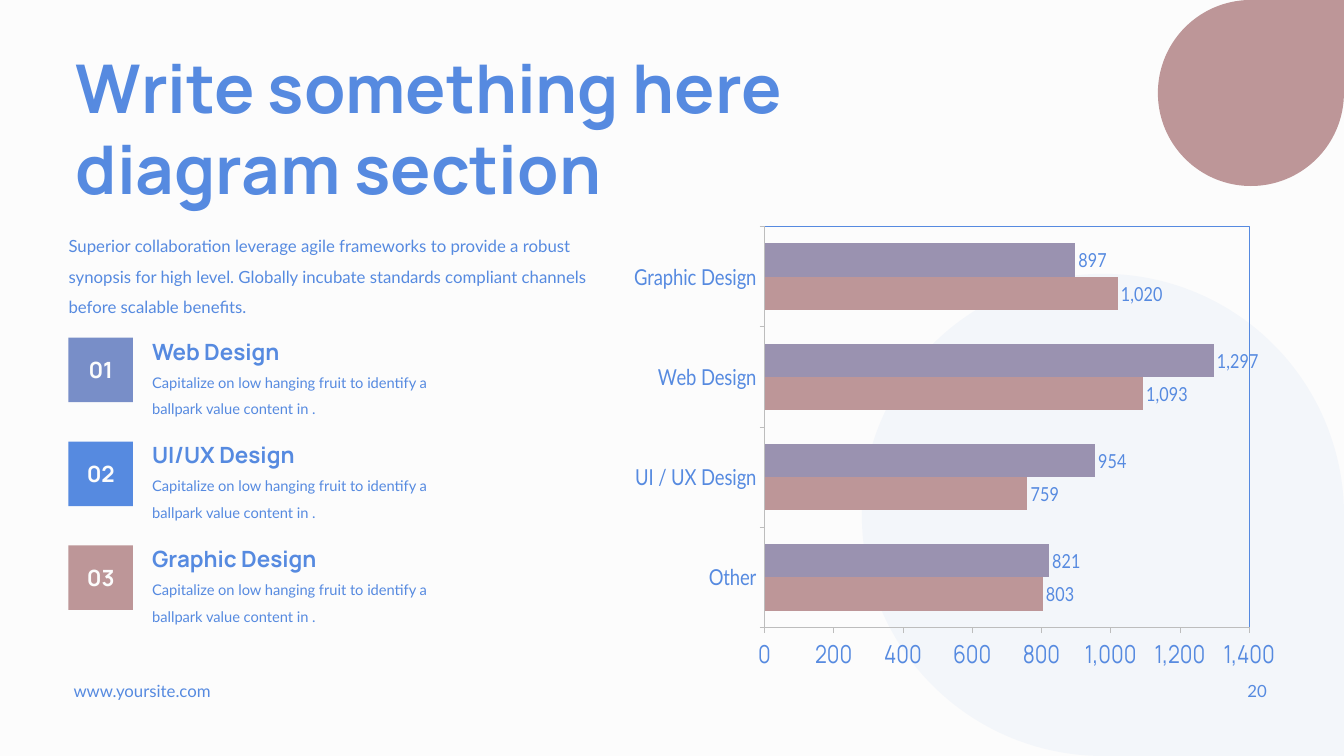
from lxml import etree
from pptx import Presentation
from pptx import util as u
from pptx.chart.data import CategoryChartData
from pptx.dml.color import RGBColor
from pptx.enum import chart as charts, shapes, text
from pptx.oxml import parse_xml
from pptx.oxml.ns import nsdecls, qn

CELL = u.Inches(1 / 12)
BLUE, ROSE, MAUVE, SLATE, PAPER = "568AE0", "BD9698", "9A92B0", "788EC8", "FCFCFC"
GREY = "BDBDBD"
BODY, HEADING = "Lato", "Manrope"
ITEM_PITCH, SQUARE, ITEM_TEXT = 12.37, 7.68, 9.96
ITEM_BODY = "Capitalize on low hanging fruit to identify a ballpark value content in ."
INTRO = ("Superior collaboration leverage agile frameworks to provide a robust synopsis "
         "for high level. Globally incubate standards compliant channels before "
         "scalable benefits.")


def color(hex_value):
    """Turn a hex string into a colour."""
    return RGBColor.from_string(hex_value)


def cells(*counts):
    """Turn grid counts into lengths."""
    return [round(count * CELL) for count in counts]


def style_font(font, name, size, hex_value=BLUE, bold=False):
    """Set typeface, size, weight and colour."""
    font.name, font.size, font.bold = name, u.Pt(size), bold
    font.color.rgb = color(hex_value)


def write(shape, words, name, size, hex_value=BLUE, bold=False, spacing=None,
          align=text.PP_ALIGN.LEFT, anchor=text.MSO_ANCHOR.TOP, inset=0):
    """Fill a shape with one formatted paragraph."""
    frame = shape.text_frame
    frame.text = words
    frame.word_wrap = True
    frame.auto_size = text.MSO_AUTO_SIZE.NONE
    frame.vertical_anchor = anchor
    frame.margin_left = frame.margin_right = u.Inches(inset)
    frame.margin_top = frame.margin_bottom = u.Inches(inset / 2)
    para = frame.paragraphs[0]
    para.alignment = align
    if spacing:
        para.line_spacing = spacing
    style_font(para.runs[0].font, name, size, hex_value, bold)


def add_text(page, box, words, name, size, **options):
    """Add a text box on the grid."""
    write(page.shapes.add_textbox(*cells(*box)), words, name, size, **options)


def add_block(page, kind, box, hex_value):
    """Add a plain filled shape."""
    shape = page.shapes.add_shape(kind, *cells(*box))
    shape.shadow.inherit = False
    shape.fill.solid()
    shape.fill.fore_color.rgb = color(hex_value)
    shape.line.fill.background()
    return shape


def add_decor(page):
    """Place the background and the two drops."""
    page.background.fill.solid()
    page.background.fill.fore_color.rgb = color(PAPER)
    drop = shapes.MSO_SHAPE.TEAR
    add_block(page, drop, (137.85, 0, 22.15, 22.15), ROSE)
    pale = add_block(page, drop, (102.6, 32.6, 57.4, 57.4), BLUE)
    pale.rotation = 90
    tint = pale.fill._xPr.find(".//" + qn("a:srgbClr"))
    etree.SubElement(tint, qn("a:alpha"), val="5000")


def add_title(page, box):
    """Move and format the title."""
    title = page.shapes.title
    title.left, title.top, title.width, title.height = cells(*box)
    write(title, "Write something here diagram section", HEADING, 48, bold=True, inset=0.1)


def add_items(page, left, top):
    """Stack the numbered services."""
    services = [("Web Design", SLATE), ("UI/UX Design", BLUE), ("Graphic Design", ROSE)]
    for index, (service, fill) in enumerate(services):
        y = top + index * ITEM_PITCH
        square = add_block(page, shapes.MSO_SHAPE.RECTANGLE, (left, y, SQUARE, SQUARE), fill)
        write(square, f"{index + 1:02}", HEADING, 16, PAPER, True,
              align=text.PP_ALIGN.CENTER, anchor=text.MSO_ANCHOR.MIDDLE)
        x = left + ITEM_TEXT
        add_text(page, (x, y, 31, 3.2), service, HEADING, 16, bold=True)
        add_text(page, (x, y + 3.2, 36.4, 6), ITEM_BODY, BODY, 10.5, spacing=1.5)


def frame_plot(chart):
    """Fix the inner plot area and outline it."""
    plot_area = chart._chartSpace.chart.plotArea
    for old in plot_area.findall(qn("c:layout")):
        plot_area.remove(old)
    places = "".join(f'<c:{tag} val="{value}"/>' for tag, value in (
        ("layoutTarget", "inner"), ("xMode", "edge"), ("yMode", "edge"),
        ("x", 0.211), ("y", 0.002), ("w", 0.917), ("h", 0.915)))
    plot_area.insert(0, parse_xml(
        f'<c:layout {nsdecls("c")}><c:manualLayout>{places}</c:manualLayout></c:layout>'))
    plot_area.append(parse_xml(
        f'<c:spPr {nsdecls("c", "a")}><a:noFill/><a:ln w="9525"><a:solidFill>'
        f'<a:srgbClr val="{BLUE}"/></a:solidFill></a:ln></c:spPr>'))


def add_bars(page, box):
    """Add the clustered bar chart."""
    data = CategoryChartData(number_format="#,##0")
    data.categories = ["Other", "UI / UX Design", "Web Design", "Graphic Design"]
    data.add_series("Series 1", (803, 759, 1093, 1020))
    data.add_series("Series 2", (821, 954, 1297, 897))
    chart = page.shapes.add_chart(charts.XL_CHART_TYPE.BAR_CLUSTERED, *cells(*box), data).chart
    chart.has_legend = chart.has_title = False
    style_font(chart.font, BODY, 18)
    for axis, name, size in ((chart.category_axis, BODY, 16), (chart.value_axis, HEADING, 18)):
        axis.has_major_gridlines = False
        axis.major_tick_mark = charts.XL_TICK_MARK.OUTSIDE
        axis.minor_tick_mark = charts.XL_TICK_MARK.NONE
        axis.format.line.color.rgb = color(GREY)
        axis.format.line.width = u.Pt(0.75)
        style_font(axis.tick_labels.font, name, size)
    plot = chart.plots[0]
    plot.gap_width, plot.overlap, plot.vary_by_categories = 100, 0, False
    for series, fill in zip(plot.series, (ROSE, MAUVE)):
        series.format.fill.solid()
        series.format.fill.fore_color.rgb = color(fill)
        labels = series.data_labels
        labels.show_value = True
        labels.position = charts.XL_LABEL_POSITION.OUTSIDE_END
        labels.number_format, labels.number_format_is_linked = "#,##0", False
        style_font(labels.font, BODY, 14)
    frame_plot(chart)


def add_footer(page):
    """Place the site address and page number."""
    add_text(page, (8.76, 81, 32.5, 2.4), "www.yoursite.com", BODY, 12)
    add_text(page, (116, 79.9, 36, 4.8), "20", BODY, 12, align=text.PP_ALIGN.RIGHT,
             anchor=text.MSO_ANCHOR.MIDDLE, inset=0.1)


def main():
    """Build and save the deck."""
    deck = Presentation()
    deck.slide_width, deck.slide_height = cells(160, 90)
    page = deck.slides.add_slide(deck.slide_layouts[5])
    add_decor(page)
    add_title(page, (7.8, 4.92, 113.8, 20.6))
    add_text(page, (8.16, 26.9, 62.5, 10.4), INTRO, BODY, 12, spacing=1.5)
    add_items(page, 8.16, 40.2)
    add_bars(page, (75.48, 26.9, 76.3, 53))
    add_footer(page)
    deck.save("out.pptx")


if __name__ == "__main__":
    main()
